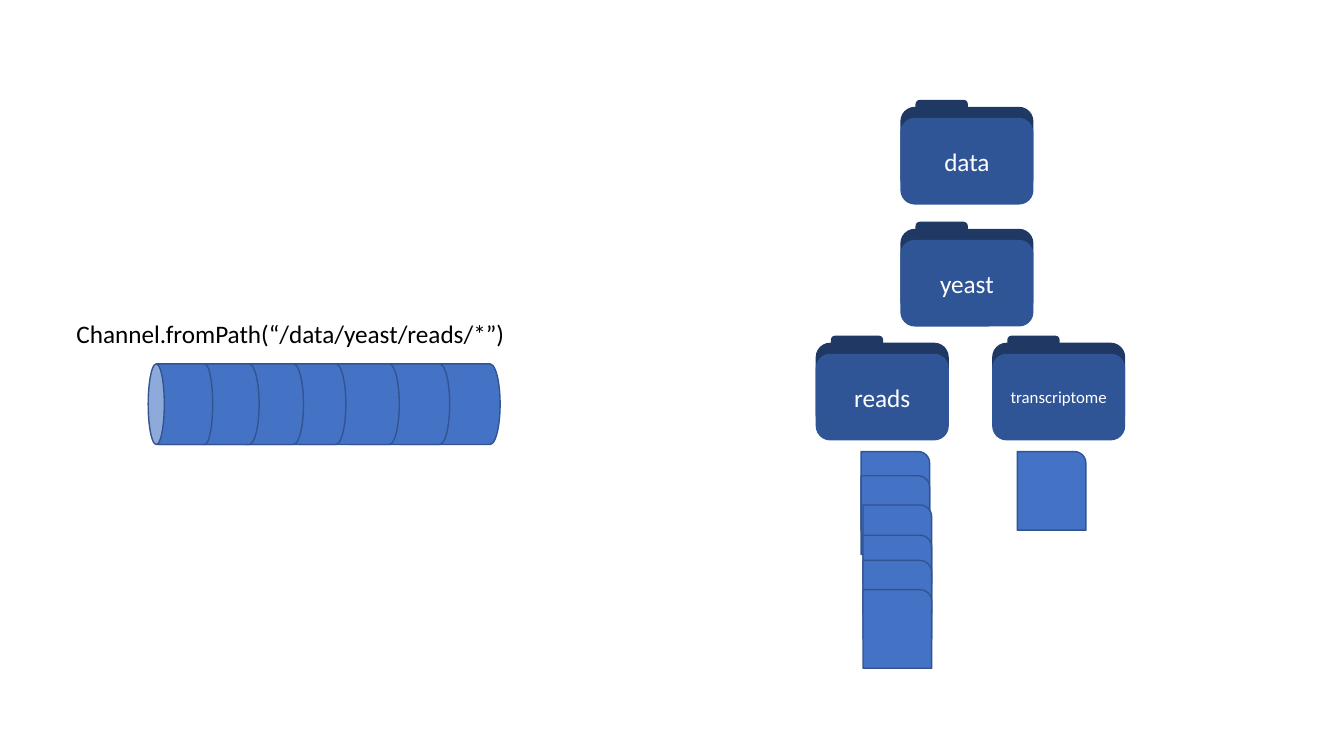
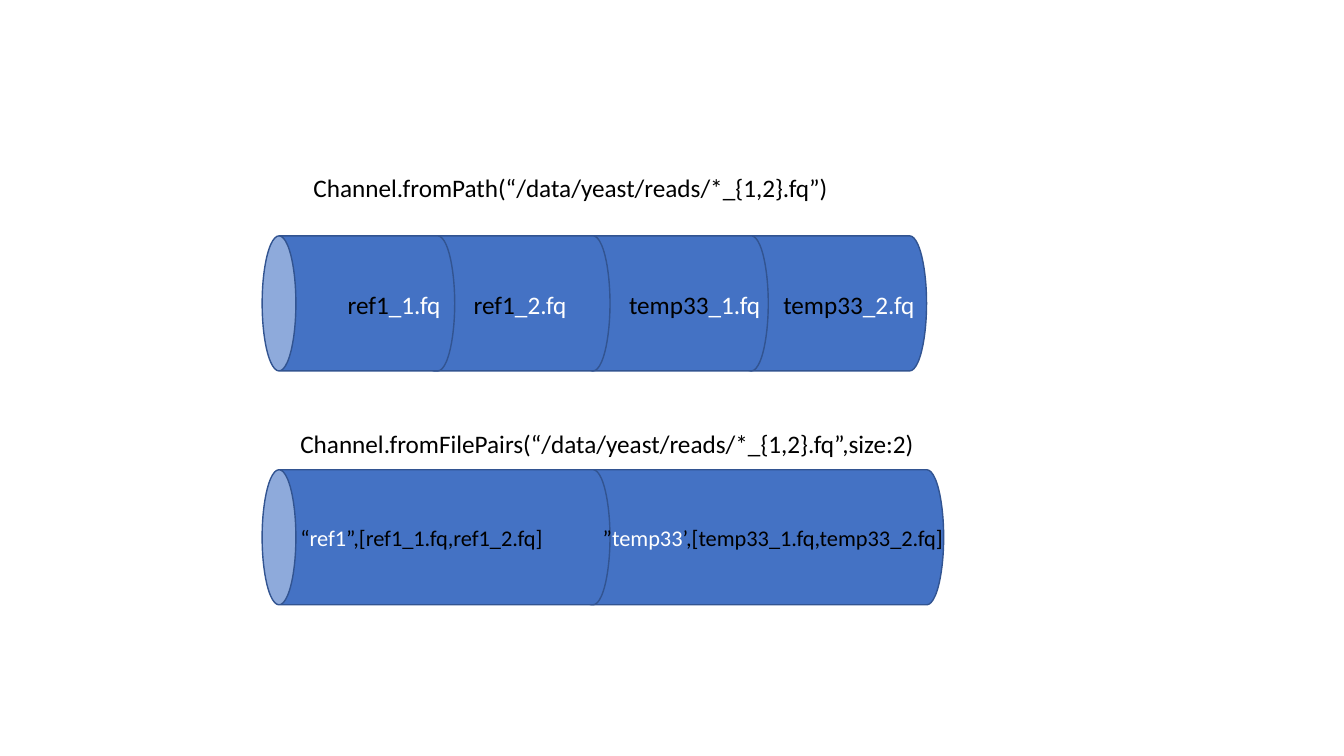
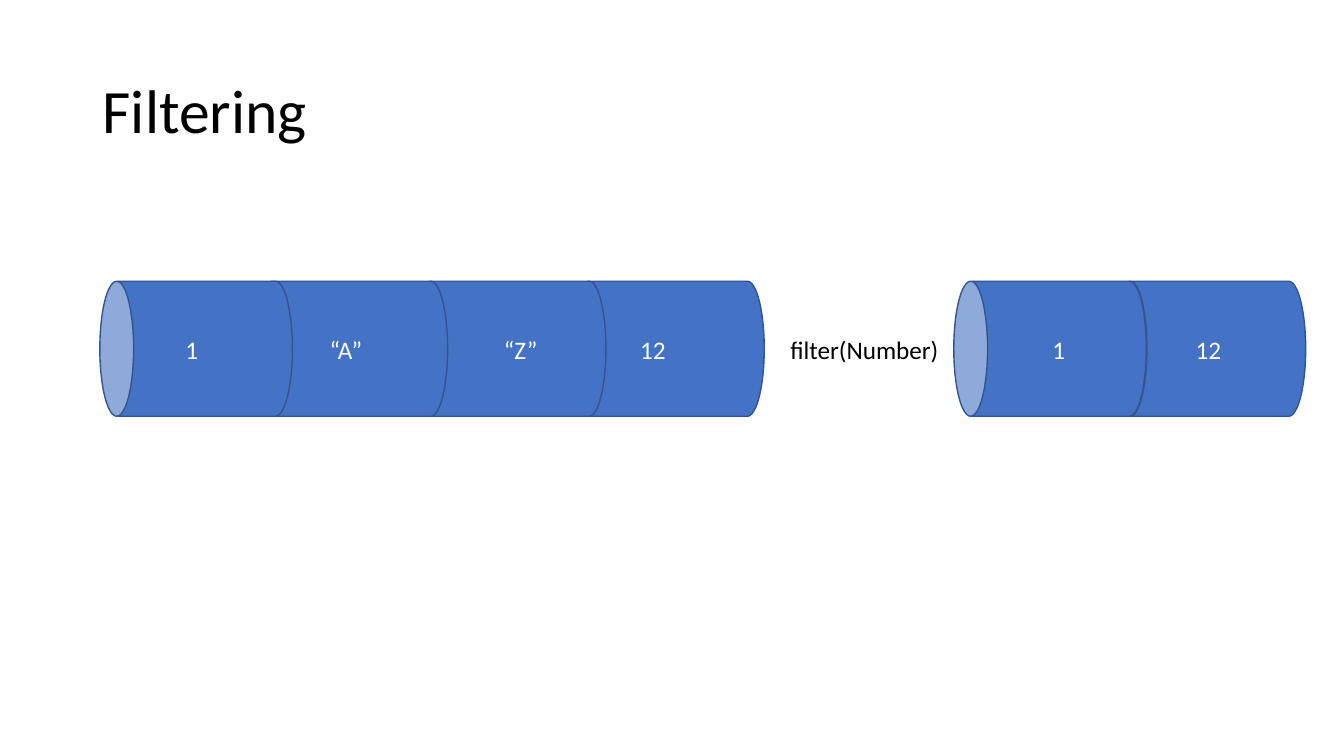
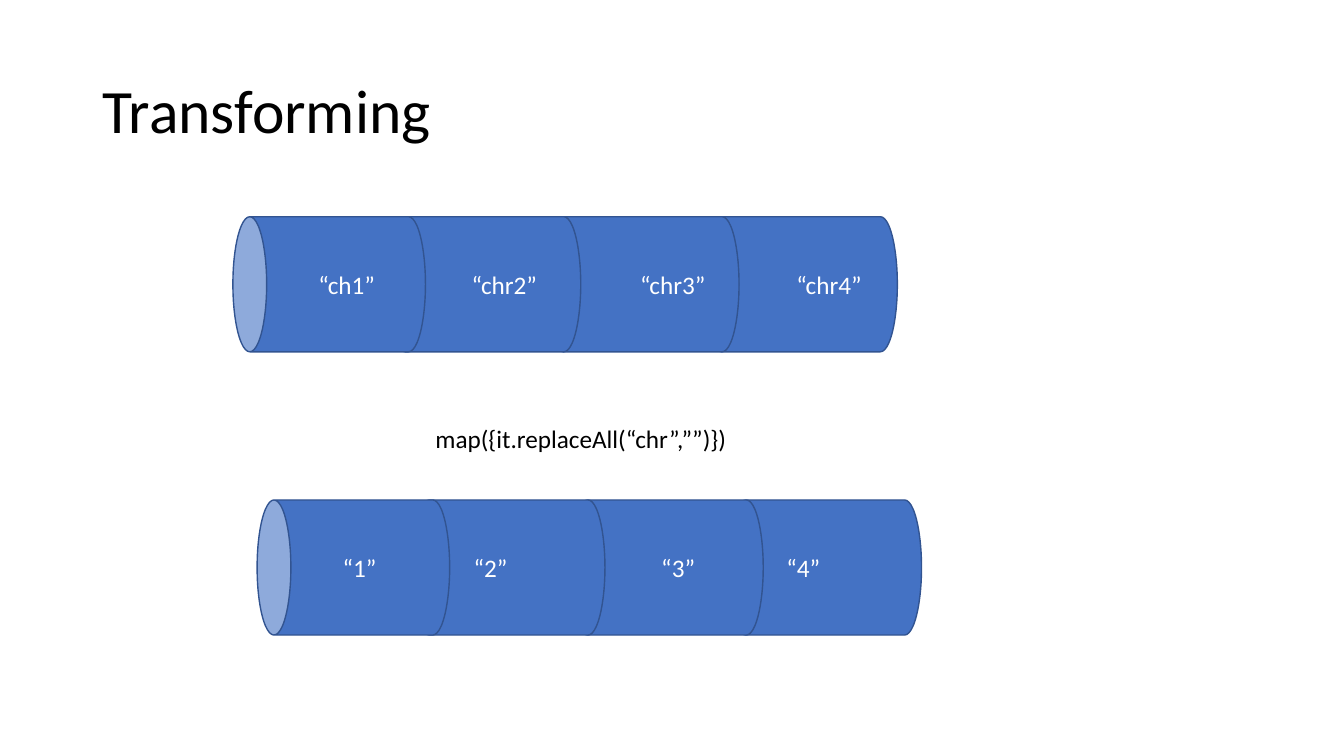
from lxml import etree
from pptx import Presentation
from pptx.dml.color import RGBColor
from pptx.enum.shapes import MSO_SHAPE
from pptx.enum.text import MSO_ANCHOR, PP_ALIGN
from pptx.oxml.ns import qn
from pptx.util import Inches, Pt

CAN = MSO_SHAPE.CAN
ROUNDED = MSO_SHAPE.ROUNDED_RECTANGLE
ONE_ROUNDED = MSO_SHAPE.ROUND_1_RECTANGLE
MIDDLE = MSO_ANCHOR.MIDDLE
CENTER = PP_ALIGN.CENTER

FONT = "Calibri"
COLORS = {
    "black": "000000",
    "white": "FFFFFF",
    "blue": "4472C4",
    "outline": "325491",
    "folder_back": "203864",
    "folder_front": "2F5597",
}

PIPE_HEIGHT = 1.34
SEGMENT = 1.91
FOUR_SEGMENTS = [(0, SEGMENT), (1.54, SEGMENT), (3.11, SEGMENT), (4.68, SEGMENT)]
TWO_SEGMENTS = FOUR_SEGMENTS[:1] + [(1.58, SEGMENT)]


def rgb(name):
    """Return the named palette colour."""
    return RGBColor.from_string(COLORS[name])


def style_run(r, size, color):
    """Apply the deck font to a run."""
    r.font.name = FONT
    r.font.size = Pt(size)
    r.font.color.rgb = rgb(color)


def add_block(shapes, kind, left, top, width, height, fill, line=None):
    """Add a flat preset shape with an optional outline."""
    sp = shapes.add_shape(kind, Inches(left), Inches(top), Inches(width), Inches(height))
    sp.shadow.inherit = False
    sp.fill.solid()
    sp.fill.fore_color.rgb = rgb(fill)
    if line:
        sp.line.color.rgb = rgb(line)
        sp.line.width = Pt(1)
    else:
        sp.line.fill.background()
    return sp


def add_text(s, left, top, width, height, runs, size=18, wrap=True):
    """Add a one-paragraph text box from (text, colour) runs."""
    sp = s.shapes.add_textbox(Inches(left), Inches(top), Inches(width), Inches(height))
    tf = sp.text_frame
    tf.word_wrap = wrap
    p = tf.paragraphs[0]
    for text, color in runs:
        r = p.add_run()
        r.text = text
        style_run(r, size, color)
    return tf


def add_code(s, left, top, width=6.49, text="", wrap=True):
    """Add a black line of code."""
    add_text(s, left, top, width, 0.4, [(text, "black")], wrap=wrap)


def add_title(s, text):
    """Add the slide title."""
    tf = add_text(s, 0.92, 0.4, 11.5, 1.45, [(text, "black")], size=44)
    tf.vertical_anchor = MIDDLE
    tf.paragraphs[0].line_spacing = 0.9


def add_labels(s, left, top, labels, width=6.49, size=18):
    """Place labels, given as (offset, runs), on tab stops along one line."""
    runs = []
    for offset, parts in labels:
        if offset:
            runs.append(("\t", "white"))
        runs.extend(parts)
    tf = add_text(s, left, top, width, 0.4, runs, size=size)
    tabs = etree.SubElement(tf.paragraphs[0]._p.get_or_add_pPr(), qn("a:tabLst"))
    for offset, _ in labels:
        if offset:
            etree.SubElement(tabs, qn("a:tab"), pos=str(Inches(offset)), algn="l")


def add_values(s, left, top, values, width=6.49):
    """Place plain white labels given as (offset, text)."""
    add_labels(s, left, top, [(x, [(text, "white")]) for x, text in values], width)


def add_pipe(s, left, top, segments, height=PIPE_HEIGHT):
    """Draw a horizontal pipe of (offset, length) cans, rightmost at the back."""
    for offset, length in reversed(segments):
        x = left + offset + (length - height) / 2
        y = top + (height - length) / 2
        sp = add_block(s.shapes, CAN, x, y, height, length, "blue", "outline")
        sp.rotation = 270


def add_folder(s, left, top, name, size=18):
    """Draw a named folder whose tab starts at the given top."""
    group = s.shapes.add_group_shape()
    add_block(group.shapes, ROUNDED, left + 0.15, top, 0.52, 0.26, "folder_back")
    add_block(group.shapes, ROUNDED, left, top + 0.07, 1.32, 0.86, "folder_back")
    sp = add_block(group.shapes, ROUNDED, left, top + 0.18, 1.32, 0.86, "folder_front")
    tf = sp.text_frame
    tf.text = name
    tf.vertical_anchor = MIDDLE
    p = tf.paragraphs[0]
    p.alignment = CENTER
    style_run(p.runs[0], size, "white")


def add_file(s, left, top):
    """Draw a file icon."""
    add_block(s.shapes, ONE_ROUNDED, left, top, 0.68, 0.78, "blue", "outline")


def build_paths(s):
    """Show a path channel beside its folder tree."""
    add_folder(s, 8.09, 3.33, "reads")
    add_folder(s, 8.93, 2.2, "yeast")
    add_folder(s, 8.93, 0.99, "data")
    for left, top in [(8.54, 4.48), (8.54, 4.72), (8.56, 5.01),
                      (8.56, 5.31), (8.56, 5.56), (8.56, 5.85)]:
        add_file(s, left, top)
    add_folder(s, 9.84, 3.33, "transcriptome", size=12)
    add_file(s, 10.09, 4.48)
    add_code(s, 0.66, 3.11, text="Channel.fromPath(“/data/yeast/reads/*”)")
    segments = [(0, 0.64)] + [(x, 1.09) for x in (0.01, 0.45, 0.87, 1.4, 1.9, 2.4)]
    add_pipe(s, 1.47, 3.61, segments, height=0.8)


def build_pairs(s):
    """Compare a path channel with a file pair channel."""
    add_pipe(s, 2.6, 2.34, FOUR_SEGMENTS)
    reads = [(0, "ref1", "_1.fq"), (1.25, "ref1", "_2.fq"),
             (2.79, "temp33", "_1.fq"), (4.32, "temp33", "_2.fq")]
    add_labels(s, 3.35, 2.82, [(x, [(name, "black"), (suffix, "white")])
                               for x, name, suffix in reads])
    add_pipe(s, 2.6, 4.66, [(0, 3.45), (3.1, 3.66)])
    pairs = [(0, "“", "ref1", "”,[ref1_1.fq,ref1_2.fq]"),
             (3, "”", "temp33", "’,[temp33_1.fq,temp33_2.fq]")]
    add_labels(s, 2.88, 5.15, [(x, [(quote, "black"), (key, "white"), (files, "black")])
                               for x, quote, key, files in pairs], width=6.96, size=16)
    add_code(s, 3.01, 1.66, text="Channel.fromPath(“/data/yeast/reads/*_{1,2}.fq”)")
    add_code(s, 2.88, 4.2,
             text="Channel.fromFilePairs(“/data/yeast/reads/*_{1,2}.fq”,size:2)")


def build_filtering(s):
    """Show a channel before and after a filter."""
    add_title(s, "Filtering")
    add_pipe(s, 0.99, 2.79, FOUR_SEGMENTS)
    add_values(s, 1.74, 3.27, [(0, "1"), (1.43, "“A”"), (3.16, "“Z”"), (4.51, "12")])
    add_code(s, 7.74, 3.27, 1.69, "filter(Number)", wrap=False)
    add_pipe(s, 9.46, 2.79, TWO_SEGMENTS)
    add_values(s, 9.59, 3.27, [(0.75, "1"), (2.17, "12")], width=3.6)


def build_transforming(s):
    """Show a channel before and after a map."""
    add_title(s, "Transforming")
    add_pipe(s, 2.31, 2.15, FOUR_SEGMENTS)
    add_values(s, 3.06, 2.62,
               [(0, "“ch1”"), (1.52, "“chr2”"), (3.19, "“chr3”"), (4.74, "“chr4”")])
    add_code(s, 4.22, 4.15, 3.11, "map({it.replaceAll(“chr”,””)})", wrap=False)
    add_pipe(s, 2.55, 4.96, FOUR_SEGMENTS)
    add_values(s, 3.3, 5.43, [(0, "“1”"), (1.3, "“2”"), (3.16, "“3”"), (4.4, "“4”")])


def main():
    """Build and save the deck."""
    prs = Presentation()
    prs.slide_width = Inches(13.33)
    prs.slide_height = Inches(7.5)
    for build in (build_paths, build_pairs, build_filtering, build_transforming):
        build(prs.slides.add_slide(prs.slide_layouts[6]))
    prs.save("out.pptx")


main()
